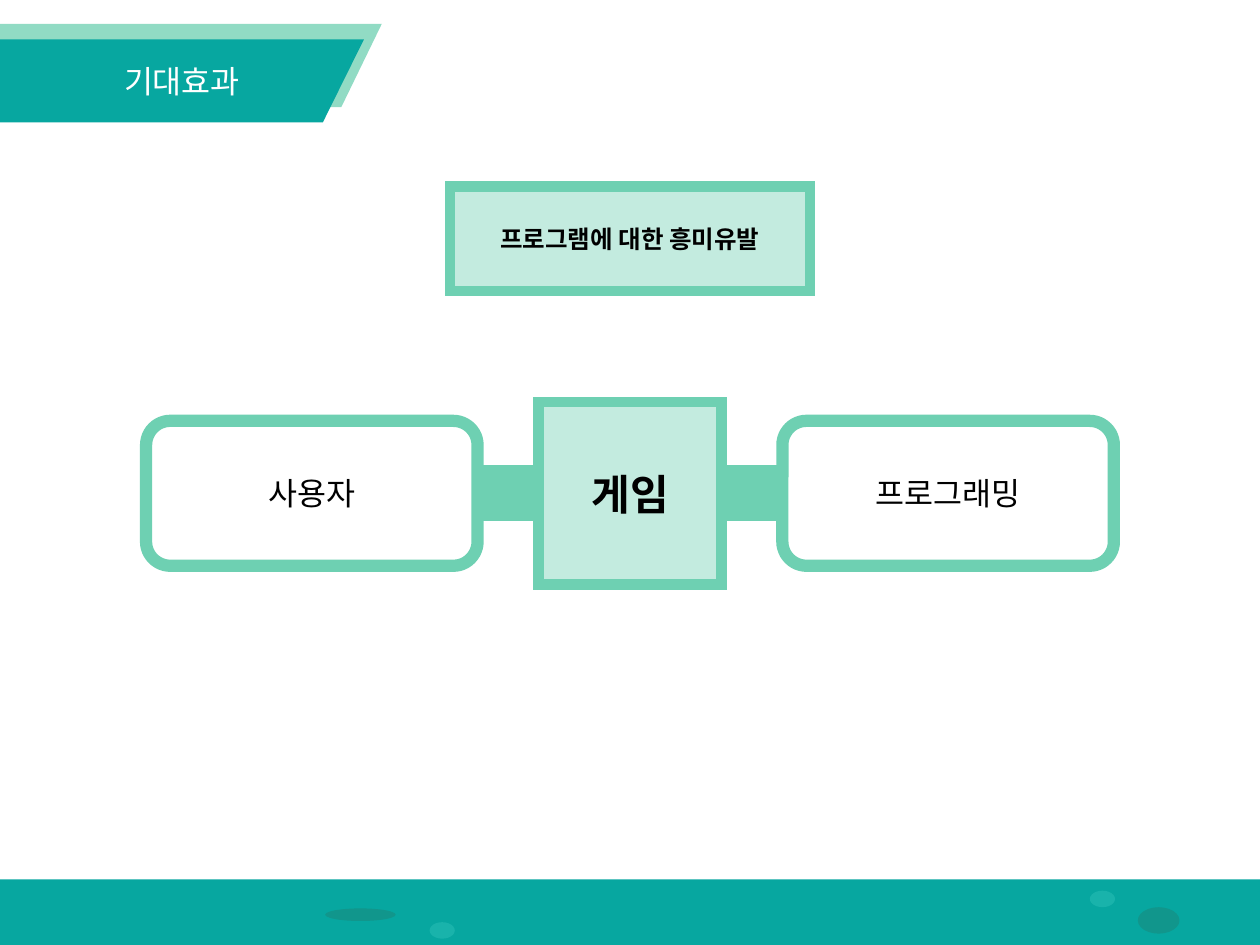
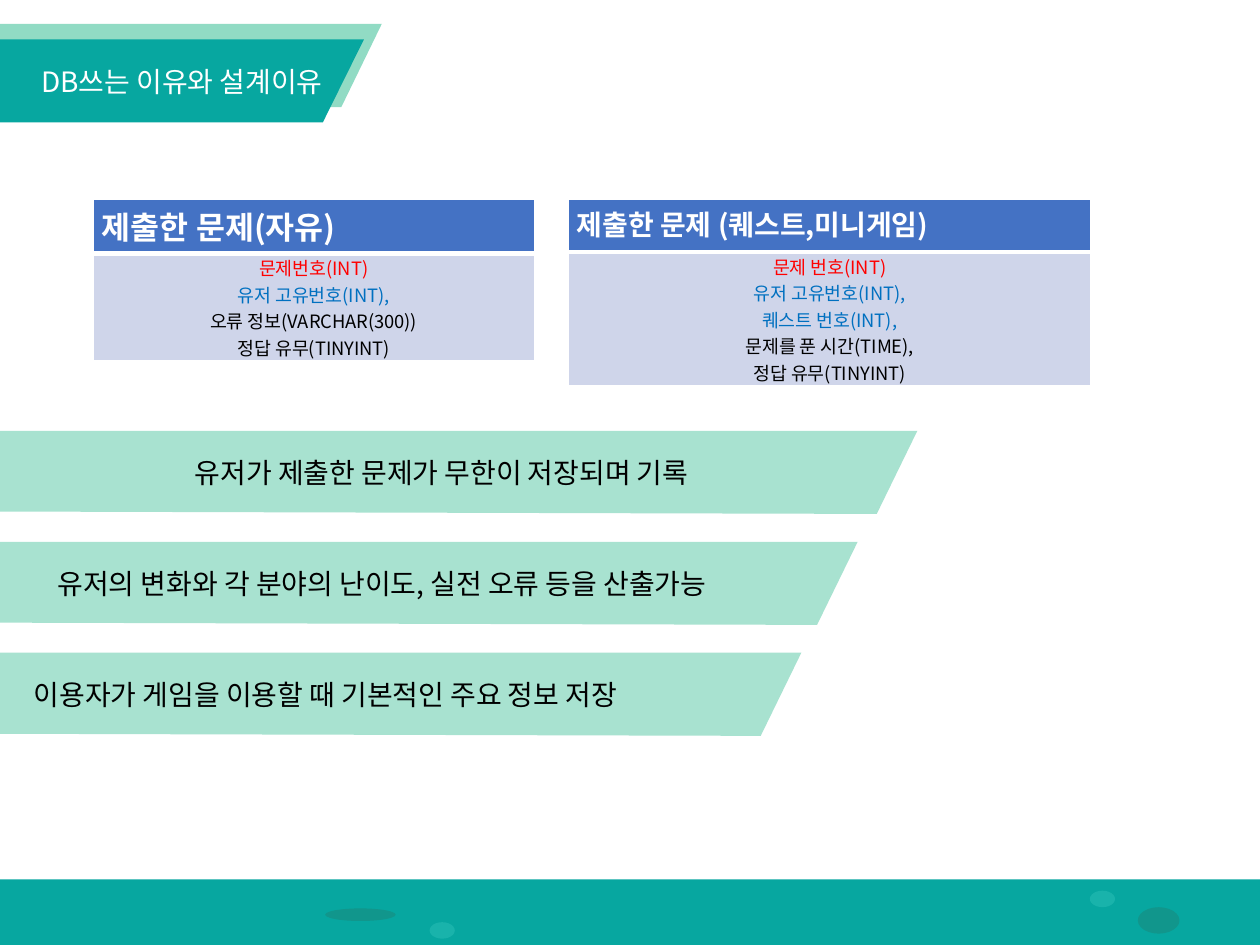
"""Builds two slides on a quiz game: its expected effect and its database design."""
from dataclasses import dataclass

from lxml.etree import SubElement as Sub
from pptx import Presentation
from pptx.dml.color import RGBColor as Rgb
from pptx.enum.shapes import MSO_SHAPE as Kind
from pptx.enum.text import MSO_ANCHOR as Anchor, MSO_AUTO_SIZE as Fit, PP_ALIGN as Align
from pptx.oxml.ns import qn
from pptx.util import Pt


@dataclass(frozen=True)
class Theme:
    face: str = "Noto Sans CJK KR"
    teal: str = "07A7A0"
    light: str = "19B3AB"
    dark: str = "11968C"
    back: str = "91DBC4"
    slab: str = "A8E2D0"
    edge: str = "6ED0B2"
    pale: str = "C3EBDF"
    head: str = "4472C4"
    cell: str = "CFD5EA"
    key: str = "FF0000"
    link: str = "0070C0"
    white: str = "FFFFFF"
    black: str = "000000"
    huge: float = 24
    large: float = 18
    mid: float = 16
    small: float = 14
    tiny: float = 10.5


class Deck:
    def __init__(self, theme):
        self.theme = theme
        self.show = Presentation()
        self.show.slide_width, self.show.slide_height = Pt(720), Pt(540)
        self.slide = None

    def page(self, title, size):
        t = self.theme
        self.slide = self.show.slides.add_slide(self.show.slide_layouts[5])
        self.shape(Kind.RECTANGLE, 0, 502.5, 720, 47.5, t.teal)
        spots = [(622.8, 509, 14.4, 9.4, t.light), (650.2, 518.4, 23.8, 15.1, t.dark),
                 (245.5, 527, 14.4, 9.4, t.light), (185.8, 519.1, 40.3, 7.2, t.dark)]
        for spot in spots:
            self.shape(Kind.OVAL, *spot)
        self.outline([(-54.7, 13.7), (218.2, 13.7), (195.1, 61.2), (-56.2, 60.5)], t.back)
        self.outline([(0, 22.5), (208, 22.5), (184.5, 70), (0, 70)], t.teal)
        name = self.slide.shapes.title
        name.left, name.top, name.width, name.height = Pt(0), Pt(22.5), Pt(208), Pt(47.5)
        name._element.getparent().append(name._element)
        self.label(name.text_frame, title, size, t.white)

    def paint(self, shape, fill, edge=None, width=0):
        shape.shadow.inherit = False
        shape.fill.solid()
        shape.fill.fore_color.rgb = Rgb.from_string(fill)
        if edge:
            shape.line.color.rgb = Rgb.from_string(edge)
            shape.line.width = Pt(width)
            Sub(shape._element.spPr.find(qn("a:ln")), qn("a:miter"), lim="800000")
        else:
            shape.line.fill.background()
        return shape

    def shape(self, kind, x, y, w, h, fill, edge=None, width=0):
        new = self.slide.shapes.add_shape(kind, Pt(x), Pt(y), Pt(w), Pt(h))
        return self.paint(new, fill, edge, width)

    def outline(self, points, fill):
        first, *rest = [(Pt(x), Pt(y)) for x, y in points]
        pen = self.slide.shapes.build_freeform(*first)
        pen.add_line_segments(rest)
        return self.paint(pen.convert_to_shape(), fill)

    def box(self, kind, x, y, w, h, fill, width, text="", size=0, bold=False):
        new = self.shape(kind, x - w / 2, y - h / 2, w, h, fill, self.theme.edge, width)
        if text:
            self.label(new.text_frame, text, size, self.theme.black, bold)

    def slab(self, x, y, text):
        t = self.theme
        new = self.outline([(x, y), (x + 543.6, y), (x + 520.4, y + 47.5), (x + 0.7, y + 46.1)], t.slab)
        self.label(new.text_frame, text, t.mid, t.black)

    def label(self, frame, text, size, color, bold=False):
        frame.word_wrap = True
        frame.auto_size = Fit.NONE
        frame.vertical_anchor = Anchor.MIDDLE
        self.line(frame.paragraphs[0], text, size, color, bold)

    def line(self, para, text, size, color, bold=False, align=Align.CENTER):
        para.text = text
        para.alignment = align
        font = para.font
        font.size, font.bold, font.name = Pt(size), bold, self.theme.face
        font.color.rgb = Rgb.from_string(color)
        Sub(para._p.pPr.find(qn("a:defRPr")), qn("a:ea"), typeface=self.theme.face)

    def trim(self, cell, fill, pads, top, base):
        props = cell._tc.get_or_add_tcPr()
        for side, width in zip("LRTB", (1, 1, top, base)):
            rule = Sub(props, qn(f"a:ln{side}"), w=str(Pt(width)))
            Sub(Sub(rule, qn("a:solidFill")), qn("a:srgbClr"), val=self.theme.white)
        cell.fill.solid()
        cell.fill.fore_color.rgb = Rgb.from_string(fill)
        cell.margin_left, cell.margin_top, cell.margin_right, cell.margin_bottom = map(Pt, pads)

    def table(self, x, w, rows, title, size, fields):
        t = self.theme
        grid = self.slide.shapes.add_table(2, 1, Pt(x), Pt(113.8), Pt(w), Pt(sum(rows))).table
        grid.first_row = grid.horz_banding = False
        for row, high in zip(grid.rows, rows):
            row.height = Pt(high)
        head, body = grid.cell(0, 0), grid.cell(1, 0)
        self.trim(head, t.head, (5, 2.2, 5, 2.2), 1, 3)
        self.line(head.text_frame.paragraphs[0], title, size, t.white, True, Align.LEFT)
        self.trim(body, t.cell, (0.7, 0.7, 0.7, 0), 3, 1)
        body.vertical_anchor = Anchor.MIDDLE
        frame = body.text_frame
        for i, (text, color) in enumerate(fields):
            para = frame.add_paragraph() if i else frame.paragraphs[0]
            self.line(para, text, t.tiny, color)


def effect(deck):
    t = deck.theme
    mid, row = 360, 281.9
    deck.page("기대효과", t.large)
    deck.box(Kind.RECTANGLE, mid, 136.4, 205.9, 59.8, t.pale, 6, "프로그램에 대한 흥미유발", t.small, True)
    deck.box(Kind.RECTANGLE, mid, row, 210.2, 25.9, t.edge, 6)
    for step, text in ((-181.8, "사용자"), (181.8, "프로그래밍")):
        deck.box(Kind.ROUNDED_RECTANGLE, mid + step, row, 189.4, 82.8, t.white, 7, text, t.large)
    deck.box(Kind.RECTANGLE, mid, row, 104.4, 104.4, t.pale, 6, "게임", t.huge, True)


def design(deck):
    t = deck.theme
    deck.page("DB쓰는 이유와 설계이유", t.mid)
    deck.table(324.7, 298.8, (30.2, 45.4), "제출한 문제 (퀘스트,미니게임)", t.mid, [
        ("문제 번호(INT)", t.key), ("유저 고유번호(INT),", t.link), ("퀘스트 번호(INT),", t.link),
        ("문제를 푼 시간(TIME),", t.black), ("정답 유무(TINYINT)", t.black)])
    deck.table(53.3, 252, (31, 61.2), "제출한 문제(자유)", t.large, [
        ("문제번호(INT)", t.key), ("유저 고유번호(INT),", t.link),
        ("오류 정보(VARCHAR(300))", t.black), ("정답 유무(TINYINT)", t.black)])
    slabs = [(-19.4, "유저가 제출한 문제가 무한이 저장되며 기록"),
             (-53.5, "유저의 변화와 각 분야의 난이도, 실전 오류 등을 산출가능"),
             (-85.7, "이용자가 게임을 이용할 때 기본적인 주요 정보 저장")]
    for i, (x, text) in enumerate(slabs):
        deck.slab(x, 246.2 + 63.4 * i, text)


def main():
    deck = Deck(Theme())
    effect(deck)
    design(deck)
    deck.show.save("out.pptx")


if __name__ == "__main__":
    main()
